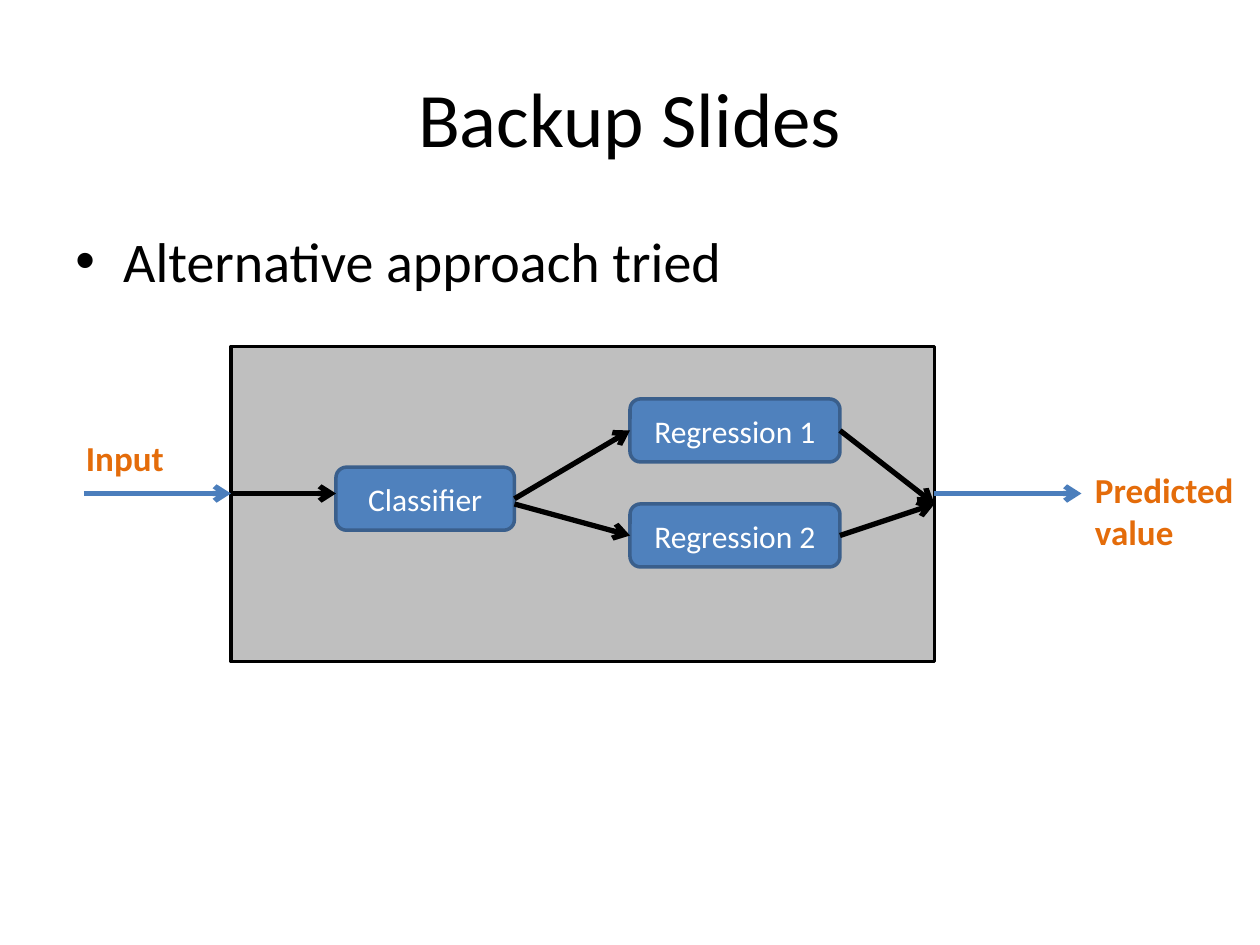
from typing import NamedTuple

from lxml import etree
from pptx import Presentation
from pptx.dml.color import RGBColor
from pptx.enum.shapes import MSO_CONNECTOR, MSO_SHAPE
from pptx.enum.text import MSO_ANCHOR, MSO_AUTO_SIZE, PP_ALIGN
from pptx.oxml.ns import qn
from pptx.util import Inches, Pt

RECTANGLE = MSO_SHAPE.RECTANGLE
ROUNDED = MSO_SHAPE.ROUNDED_RECTANGLE
STRAIGHT = MSO_CONNECTOR.STRAIGHT
TOP, MIDDLE = MSO_ANCHOR.TOP, MSO_ANCHOR.MIDDLE
LEFT, CENTER = PP_ALIGN.LEFT, PP_ALIGN.CENTER
FIT_SHAPE = MSO_AUTO_SIZE.SHAPE_TO_FIT_TEXT

FONT = "Calibri"
UNITS_PER_INCH = 12
COLORS = {
    "black": "000000",
    "white": "FFFFFF",
    "panel": "BFBFBF",
    "stage": "4F81BD",
    "stage_edge": "3A5F8C",
    "flow": "4B7EBC",
    "label": "E46C0A",
}


class Box(NamedTuple):
    column: float
    row: float
    columns: float
    rows: float


class Stage(NamedTuple):
    text: str
    box: Box


class Label(NamedTuple):
    text: str
    box: Box
    size: int
    color: str = "black"
    bold: bool = False
    wrap: bool = True
    align: PP_ALIGN = LEFT
    anchor: MSO_ANCHOR = TOP


class Arrow(NamedTuple):
    start: tuple[float, float]
    end: tuple[float, float]
    color: str = "black"


PANEL = Box(22, 33, 67, 30)
FLOW_ROW = 47
FLOW_LENGTH = 14
PANEL_RIGHT = PANEL.column + PANEL.columns
MERGE = (PANEL_RIGHT, 48)

STAGES = [
    Stage("Classifier", Box(32, 44.5, 17, 6)),
    Stage("Regression 1", Box(60, 38, 20, 6)),
    Stage("Regression 2", Box(60, 48, 20, 6)),
]
TITLE = Label("Backup Slides", Box(6, 3.6, 108, 15), 44, align=CENTER, anchor=MIDDLE)
BULLET = Label("Alternative approach tried", Box(6, 21, 108, 59.4), 32)
FLOW_LABELS = [
    Label("Input", Box(7, 41, 10, 5.25), 20, "label", True, False),
    Label("Predicted\nvalue", Box(103.1, 44, 16.5, 9.25), 20, "label", True, False),
]
ARROWS = [
    Arrow((PANEL.column - FLOW_LENGTH, FLOW_ROW), (PANEL.column, FLOW_ROW), "flow"),
    Arrow((PANEL_RIGHT, FLOW_ROW), (PANEL_RIGHT + FLOW_LENGTH, FLOW_ROW), "flow"),
    Arrow((PANEL.column, FLOW_ROW), (32, FLOW_ROW)),
    Arrow((49, 47.5), (60, 41)),
    Arrow((49, 48), (60, 51)),
    Arrow((80, 41), MERGE),
    Arrow((80, 51), MERGE),
]


def grid(*units: float) -> list[int]:
    return [Inches(unit / UNITS_PER_INCH) for unit in units]


def color(name: str) -> RGBColor:
    return RGBColor.from_string(COLORS[name])


def write_text(shape, label: Label) -> None:
    frame = shape.text_frame
    frame.text = label.text
    frame.word_wrap = label.wrap
    frame.vertical_anchor = label.anchor
    for paragraph in frame.paragraphs:
        paragraph.alignment = label.align
        paragraph.font.name = FONT
        paragraph.font.size = Pt(label.size)
        paragraph.font.bold = label.bold
        paragraph.font.color.rgb = color(label.color)


def add_label(slide, label: Label):
    shape = slide.shapes.add_textbox(*grid(*label.box))
    write_text(shape, label)
    if not label.wrap:
        shape.text_frame.auto_size = FIT_SHAPE
    return shape


def add_bullet(slide, label: Label) -> None:
    paragraph = add_label(slide, label).text_frame.paragraphs[0]
    properties = paragraph._p.get_or_add_pPr()
    properties.set("marL", str(Inches(0.38)))
    properties.set("indent", str(Inches(-0.38)))
    etree.SubElement(properties, qn("a:buFont")).set("typeface", "Arial")
    etree.SubElement(properties, qn("a:buChar")).set("char", "•")


def add_box(slide, kind: MSO_SHAPE, box: Box, fill: str, edge: str):
    shape = slide.shapes.add_shape(kind, *grid(*box))
    shape.shadow.inherit = False
    shape.fill.solid()
    shape.fill.fore_color.rgb = color(fill)
    shape.line.color.rgb = color(edge)
    shape.line.width = Pt(2)
    return shape


def add_stage(slide, stage: Stage) -> None:
    shape = add_box(slide, ROUNDED, stage.box, "stage", "stage_edge")
    write_text(shape, Label(stage.text, stage.box, 18, "white", align=CENTER, anchor=MIDDLE))


def add_arrow(slide, arrow: Arrow) -> None:
    connector = slide.shapes.add_connector(STRAIGHT, *grid(*arrow.start, *arrow.end))
    connector.line.color.rgb = color(arrow.color)
    connector.line.width = Pt(3)
    line = connector.line._get_or_add_ln()
    etree.SubElement(line, qn("a:tailEnd")).set("type", "arrow")
    etree.SubElement(connector._element.spPr, qn("a:effectLst"))


def main() -> None:
    presentation = Presentation()
    presentation.slide_width, presentation.slide_height = grid(120, 90)
    slide = presentation.slides.add_slide(presentation.slide_layouts[6])
    add_box(slide, RECTANGLE, PANEL, "panel", "black")
    add_label(slide, TITLE)
    add_bullet(slide, BULLET)
    for stage in STAGES:
        add_stage(slide, stage)
    for label in FLOW_LABELS:
        add_label(slide, label)
    for arrow in ARROWS:
        add_arrow(slide, arrow)
    presentation.save("out.pptx")


if __name__ == "__main__":
    main()
